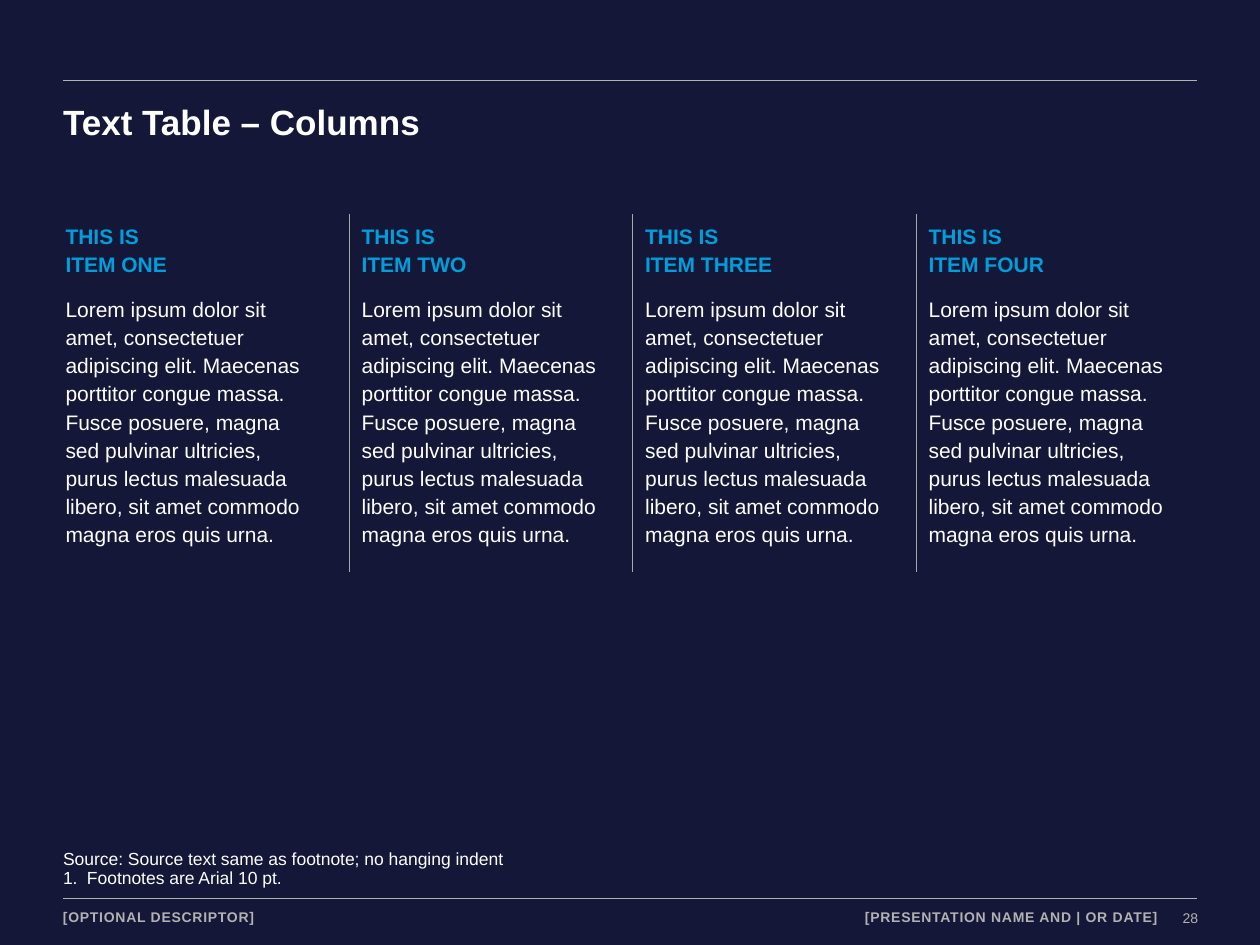
from lxml.etree import SubElement
from pptx import Presentation
from pptx.dml.color import RGBColor
from pptx.enum.shapes import MSO_CONNECTOR as Connector
from pptx.enum.text import MSO_ANCHOR as Anchor, PP_ALIGN as Align
from pptx.oxml import parse_xml
from pptx.oxml.ns import nsdecls, qn
from pptx.util import Inches, Pt

WHITE, GRAY, BLUE, NAVY = "FFFFFF", "B2B2B2", "009EDB", "141738"
NO_STYLE = "{2D5ABB26-0587-4C30-8999-92F81FD0307C}"


def color(value):
    return RGBColor.from_string(value)


def write(para, text, size, shade, bold=False, spacing=None):
    para.text = text
    para.line_spacing = spacing
    font = para.font
    font.name, font.size, font.bold = "Arial", Pt(size), bold
    font.color.rgb = color(shade)


deck = Presentation()
deck.slide_width, deck.slide_height = Inches(10), Inches(7.5)
page = deck.slides.add_slide(deck.slide_layouts[6])
page.background.fill.solid()
page.background.fill.fore_color.rgb = color(NAVY)

for y in (0.64, 7.13):
    rule = page.shapes.add_connector(
        Connector.STRAIGHT, Inches(0.5), Inches(y), Inches(9.5), Inches(y))
    rule.line.color.rgb = color(GRAY)
    rule.line.width = Pt(1)
    SubElement(rule._element.spPr, qn("a:effectLst"))

labels = [
    ("28", 9.37, 7.22, 0.14, 0.13, 8, GRAY, False, Align.RIGHT),
    ("[OPTIONAL DESCRIPTOR]", 0.5, 7.21, 3.1, 0.15, 8, GRAY, True, Align.LEFT),
    ("[PRESENTATION NAME AND | OR DATE]", 5.19, 7.21, 4, 0.15, 8, GRAY, True, Align.RIGHT),
    ("Text Table – Columns", 0.5, 0.8, 8.99, 0.34, 20, WHITE, True, Align.LEFT),
    ("Source: Source text same as footnote; no hanging indent",
     0.5, 6.75, 8.99, 0.32, 10, WHITE, False, Align.LEFT),
]
for text, left, top, width, height, size, shade, bold, align in labels:
    box = page.shapes.add_textbox(Inches(left), Inches(top), Inches(width), Inches(height))
    frame = box.text_frame
    frame.word_wrap = text != "28"
    frame.margin_left = frame.margin_top = frame.margin_right = frame.margin_bottom = 0
    para = frame.paragraphs[0]
    write(para, text, size, shade, bold)
    para.alignment = align
    if text.startswith("["):
        para.runs[0].font._element.set("spc", "40")

frame.vertical_anchor = Anchor.BOTTOM
frame.margin_bottom = Inches(0.02)
para.line_spacing = 0.9
footnote = frame.add_paragraph()
write(footnote, "Footnotes are Arial 10 pt.", 10, WHITE, spacing=0.9)
props = footnote._p.get_or_add_pPr()
props.set("marL", str(Inches(0.19)))
props.set("indent", str(-Inches(0.19)))
props.insert(1, parse_xml(f'<a:buClr {nsdecls("a")}><a:srgbClr val="{WHITE}"/></a:buClr>'))
props.insert(2, parse_xml(f'<a:buAutoNum {nsdecls("a")} type="arabicPeriod"/>'))

first_body = ("Lorem ipsum dolor sit amet, consectetuer adipiscing elit. Maecenas "
              "porttitor congue massa. Fusce posuere, magna \nsed pulvinar ultricies, \n"
              "purus lectus malesuada libero, sit amet commodo magna eros quis urna.")
body = first_body.replace("\n", "")
items = [("ONE", first_body), ("TWO", body), ("THREE", body), ("FOUR", body)]

table = page.shapes.add_table(
    2, 4, Inches(0.52), Inches(1.7), Inches(8.99), Inches(2.75)).table
table.first_row = table.horz_banding = False
table._tbl.tblPr.find(qn("a:tableStyleId")).text = NO_STYLE
for row, height in zip(table.rows, (0.57, 2.18)):
    row.height = Inches(height)

for column, (number, description) in enumerate(items):
    table.columns[column].width = Inches(2.25)
    contents = [(f"THIS IS \nITEM {number}", BLUE, True), (description, WHITE, False)]
    for row, (text, shade, bold) in enumerate(contents):
        cell = table.cell(row, column)
        cell.margin_left = Inches(0.1 if column else 0)
        cell.margin_right = Inches(0.2)
        cell.margin_top = cell.margin_bottom = Inches(0.05)
        cell.fill.background()
        write(cell.text_frame.paragraphs[0], text, 12, shade, bold, 1.2)
        sides = [side for side, inner in (("lnL", column > 0), ("lnR", column < 3)) if inner]
        for place, side in enumerate(sides):
            cell._tc.get_or_add_tcPr().insert(place, parse_xml(
                f'<a:{side} {nsdecls("a")} w="{Pt(0.5)}"><a:solidFill>'
                f'<a:srgbClr val="A9A9A9"/></a:solidFill></a:{side}>'))

deck.save("out.pptx")
